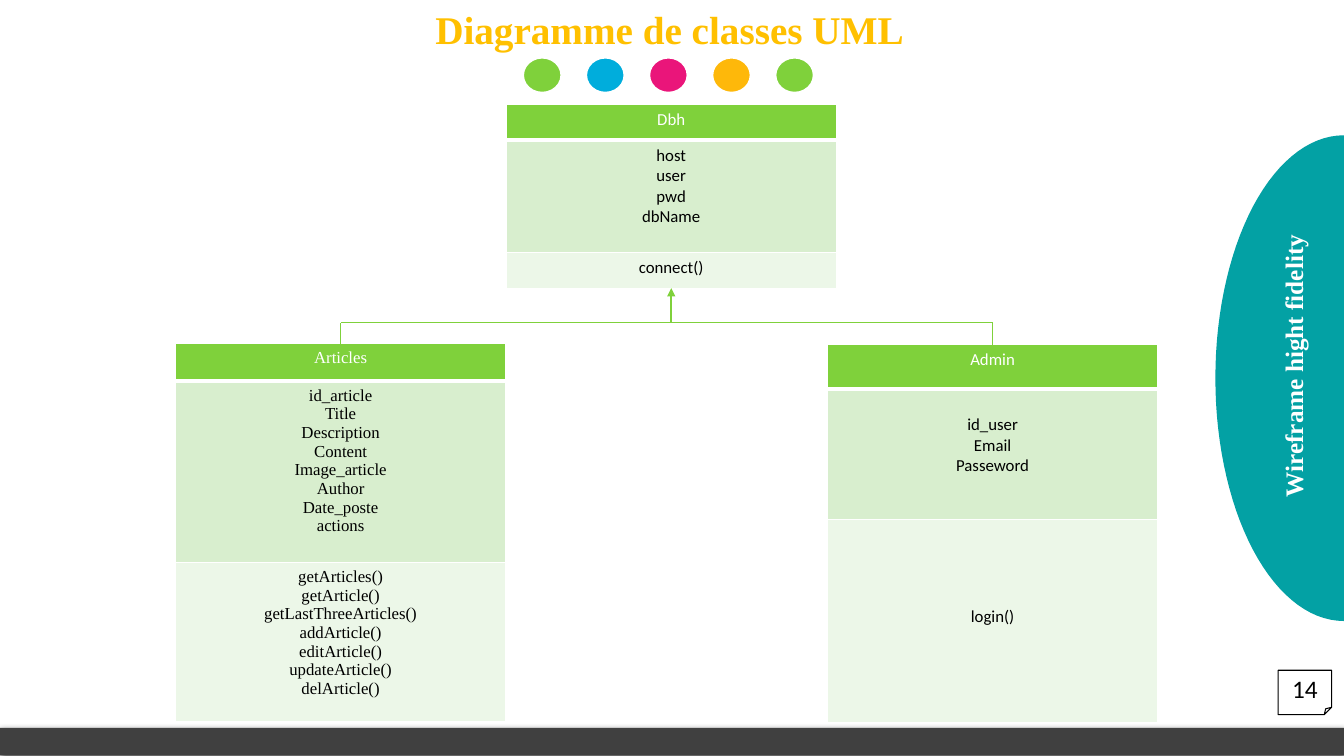
from math import cos, pi, sin

from lxml.etree import SubElement
from pptx import Presentation
from pptx.dml.color import RGBColor
from pptx.enum.shapes import MSO_CONNECTOR, MSO_SHAPE
from pptx.enum.text import MSO_ANCHOR, MSO_AUTO_SIZE, PP_ALIGN
from pptx.oxml.ns import qn
from pptx.util import Cm, Pt

GREEN = "7FD13B"
WHITE = "FFFFFF"
BLACK = "000000"
SERIF = "Times New Roman"
SANS = "Calibri"
WIDTH, HEIGHT = 33.87, 19.05
CLASS_WIDTH = 8.33


def color(code):
    """Turn a hex string into a colour."""
    return RGBColor.from_string(code)


def add_xml(parent, tag, **attributes):
    """Append a drawing element with its attributes."""
    return SubElement(parent, qn(tag), attributes)


def write(frame, lines, size=12, font=SANS, ink=BLACK, bold=False, align=PP_ALIGN.CENTER):
    """Write one paragraph per line into a text frame."""
    for index, line in enumerate(lines):
        para = frame.add_paragraph() if index else frame.paragraphs[0]
        para.alignment = align
        span = para.add_run()
        span.text = line
        span.font.size = Pt(size)
        span.font.name = font
        span.font.bold = bold
        span.font.color.rgb = color(ink)


def paint(shape, fill=None, line=None, weight=1):
    """Set the fill and outline of a shape and remove its shadow."""
    shape.shadow.inherit = False
    if fill:
        shape.fill.solid()
        shape.fill.fore_color.rgb = color(fill)
    else:
        shape.fill.background()
    if line:
        shape.line.color.rgb = color(line)
        shape.line.width = Pt(weight)
    else:
        shape.line.fill.background()


def add_figure(page, kind, left, top, width, height, **style):
    """Add a painted preset shape."""
    shape = page.shapes.add_shape(kind, Cm(left), Cm(top), Cm(width), Cm(height))
    paint(shape, **style)
    return shape


def add_label(page, text, left, top, width, height, wrap=True, rotation=0, **style):
    """Add a text box that grows with its text."""
    box = page.shapes.add_textbox(Cm(left), Cm(top), Cm(width), Cm(height))
    box.rotation = rotation
    box.text_frame.word_wrap = wrap
    box.text_frame.auto_size = MSO_AUTO_SIZE.SHAPE_TO_FIT_TEXT
    write(box.text_frame, [text], **style)


def add_bar(page):
    """Add the footer bar with its soft shadow."""
    bar = add_figure(page, MSO_SHAPE.RECTANGLE, 0, 18.34, WIDTH, 0.69, fill="404040")
    effects = bar._element.spPr.find(qn("a:effectLst"))
    shadow = add_xml(effects, "a:outerShdw", blurRad=str(Pt(4.5)), dist=str(Pt(1.5)),
                     dir="5400000", rotWithShape="0")
    tone = add_xml(shadow, "a:srgbClr", val=BLACK)
    add_xml(tone, "a:alpha", val="63000")


def add_borders(cell, bottom):
    """Give a cell white borders, the bottom one with its own weight."""
    properties = cell._tc.get_or_add_tcPr()
    for side, weight in (("L", 1), ("R", 1), ("T", 1), ("B", bottom)):
        border = add_xml(properties, f"a:ln{side}", w=str(Pt(weight)))
        fill = add_xml(border, "a:solidFill")
        add_xml(fill, "a:srgbClr", val=WHITE)


def add_class(page, left, top, heights, name, fields, methods, font=SANS, margins=(0.13, 0.13)):
    """Add a class as a table of name, fields and methods."""
    frame = page.shapes.add_table(3, 1, Cm(left), Cm(top), Cm(CLASS_WIDTH), Cm(sum(heights)))
    table = frame.table
    table.first_row = False
    table.horz_banding = False
    rows = (
        ([name], GREEN, WHITE, 3, 0.13),
        (fields, "D8EECE", BLACK, 1, margins[0]),
        (methods, "ECF7E8", BLACK, 1, margins[1]),
    )
    for index, (lines, fill, ink, bottom, margin) in enumerate(rows):
        table.rows[index].height = Cm(heights[index])
        cell = table.cell(index, 0)
        add_borders(cell, bottom)
        cell.fill.solid()
        cell.fill.fore_color.rgb = color(fill)
        cell.margin_top = Cm(margin)
        write(cell.text_frame, lines, font=font, ink=ink)


def add_line(page, start, end, weight=0.5, arrow=False):
    """Add a straight green line, with an arrowhead at its end on demand."""
    line = page.shapes.add_connector(MSO_CONNECTOR.STRAIGHT, *map(Cm, start + end))
    line.line.color.rgb = color(GREEN)
    line.line.width = Pt(weight)
    if arrow:
        add_xml(line.line._get_or_add_ln(), "a:tailEnd", type="triangle")
    add_xml(line._element.spPr, "a:effectLst")


def add_half_ellipse(page, middle, across, down, steps=60):
    """Add the teal half ellipse on the right edge."""
    angles = [pi * step / steps for step in range(steps + 1)]
    points = [(Cm(WIDTH - across * sin(angle)), Cm(middle - down * cos(angle)))
              for angle in angles]
    builder = page.shapes.build_freeform(*points[0])
    builder.add_line_segments(points[1:], close=True)
    paint(builder.convert_to_shape(), fill="03A1A4")


def main():
    """Build the class diagram slide."""
    deck = Presentation()
    deck.slide_width, deck.slide_height = Cm(WIDTH), Cm(HEIGHT)
    page = deck.slides.add_slide(deck.slide_layouts[6])

    add_bar(page)
    add_label(page, "Diagramme de classes UML", 10.72, 0, 12.45, 1.45, wrap=False,
              size=28, font=SERIF, ink="FFC000", bold=True, align=PP_ALIGN.LEFT)
    for index, fill in enumerate((GREEN, "00ADDC", "EA157A", "FEB80A", GREEN)):
        add_figure(page, MSO_SHAPE.OVAL, 13.18 + 1.59 * index, 1.45, 0.97, 0.89,
                   fill=fill, line=WHITE, weight=1.5)
    number = add_figure(page, MSO_SHAPE.FOLDED_CORNER, 32.21, 16.89, 1.35, 1.12,
                        line=BLACK, weight=0.75)
    number.text_frame.vertical_anchor = MSO_ANCHOR.MIDDLE
    write(number.text_frame, ["14"], size=18)

    parent, articles, admin = 12.75, 4.42, 20.85
    add_class(page, parent, 2.64, (0.89, 2.84, 0.89), "Dbh",
              ["host", "user", "pwd", "dbName"], ["connect()"])
    add_class(page, articles, 8.66, (0.94, 4.57, 4.01), "Articles",
              ["id_article", "Title", "Description", "Content", "Image_article",
               "Author", "Date_poste", "actions"],
              ["getArticles()", "getArticle()", "getLastThreeArticles()", "addArticle()",
               "editArticle()", "updateArticle()", "delArticle()"], font=SERIF)
    add_class(page, admin, 8.69, (1.12, 3.28, 5.11), "Admin",
              ["id_user", "Email", "Passeword"], ["login()"], margins=(0.64, 2.19))

    joint = 8.13
    center = parent + CLASS_WIDTH / 2
    add_line(page, (center, joint), (center, 7.26), weight=1.5, arrow=True)
    for left, top in ((articles, 8.66), (admin, 8.69)):
        child = left + CLASS_WIDTH / 2
        add_line(page, (center, joint), (child, joint))
        add_line(page, (child, top), (child, joint))

    add_half_ellipse(page, 9.53, 3.24, 6.12)
    add_label(page, "Wireframe hight fidelity", 28.12, 8.71, 8.94, 1.02, rotation=270,
              size=18, font=SERIF, ink=WHITE, bold=True)
    deck.save("out.pptx")


if __name__ == "__main__":
    main()
